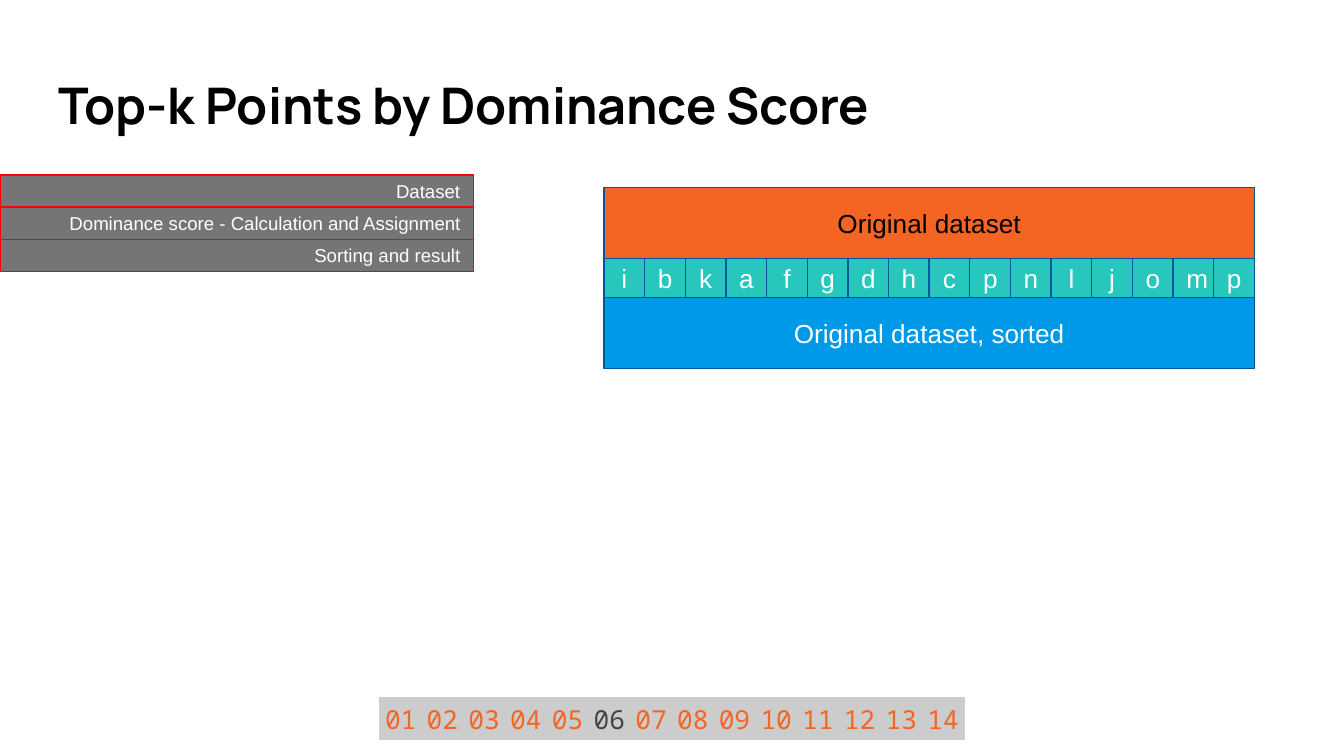
from pptx import Presentation
from pptx.dml.color import RGBColor
from pptx.enum.shapes import MSO_SHAPE as Shape
from pptx.enum.text import MSO_ANCHOR as Anchor, PP_ALIGN as Align
from pptx.util import Pt

ORANGE, TEAL, BLUE, NAVY = "F46524", "27C7BD", "0099E8", "01579B"
GREY, SILVER, CHARCOAL = "757575", "CCCCCC", "434343"
RED, BLACK, WHITE = "FF0000", "000000", "FFFFFF"


def color(hex_code):
    return RGBColor.from_string(hex_code)


def write(frame, text, size, ink, font="Arial", align=Align.CENTER,
          inset=7.2, anchor=Anchor.MIDDLE, bold=False):
    frame.word_wrap = True
    frame.vertical_anchor = anchor
    frame.margin_left = frame.margin_right = Pt(inset)
    frame.margin_top = frame.margin_bottom = Pt(inset)
    paragraph = frame.paragraphs[0]
    paragraph.text = text
    paragraph.alignment = align
    paragraph.font.name = font
    paragraph.font.size = Pt(size)
    paragraph.font.bold = bold
    paragraph.font.color.rgb = color(ink)


def add_box(slide, left, top, width, height, fill, line, text, size, ink, **style):
    box = slide.shapes.add_shape(
        Shape.RECTANGLE, Pt(left), Pt(top), Pt(width), Pt(height))
    box.shadow.inherit = False
    box.fill.solid()
    box.fill.fore_color.rgb = color(fill)
    box.line.color.rgb = color(line)
    box.line.width = Pt(0.75)
    write(box.text_frame, text, size, ink, **style)


def add_title(slide, text):
    title = slide.shapes.add_textbox(Pt(24), Pt(32.4), Pt(671), Pt(50.4))
    write(title.text_frame, text, 27, BLACK, font="Manrope",
          align=Align.LEFT, anchor=Anchor.TOP, bold=True)


def add_agenda(slide, steps):
    height = 17.2
    for row, step in enumerate(steps):
        add_box(slide, 0, 93.8 + row * height, 253.6, height,
                GREY, RED, step, 10, WHITE, align=Align.RIGHT)


def add_dataset(slide, points):
    left, top, width = 323.6, 100.6, 348.4
    band_height, point_height = 37.9, 21
    points_top = top + band_height
    point_width = width / len(points)

    add_box(slide, left, top, width, band_height,
            ORANGE, NAVY, "Original dataset", 14, BLACK)
    for column, point in enumerate(points):
        add_box(slide, left + column * point_width, points_top,
                point_width, point_height, TEAL, NAVY, point, 14, WHITE)
    add_box(slide, left, points_top + point_height, width, band_height,
            BLUE, NAVY, "Original dataset, sorted", 14, WHITE)


def add_page_strip(slide, pages, current):
    side = 22.35
    left = (720 - pages * side) / 2
    for page in range(1, pages + 1):
        ink = CHARCOAL if page == current else ORANGE
        add_box(slide, left + (page - 1) * side, 373.8, side, side,
                SILVER, SILVER, f"{page:02}", 14, ink,
                font="Noto Sans Mono", inset=0)


def main():
    deck = Presentation()
    deck.slide_width, deck.slide_height = Pt(720), Pt(405)
    slide = deck.slides.add_slide(deck.slide_layouts[6])

    # Heading and agenda
    add_title(slide, "Top-k Points by Dominance Score")
    add_agenda(slide, ["Dataset",
                       "Dominance score - Calculation and Assignment",
                       "Sorting and result"])

    # Points between the original and the sorted dataset
    add_dataset(slide, "ibkafgdhcpnljomp")

    # Page numbers
    add_page_strip(slide, pages=14, current=6)

    deck.save("out.pptx")


if __name__ == "__main__":
    main()
